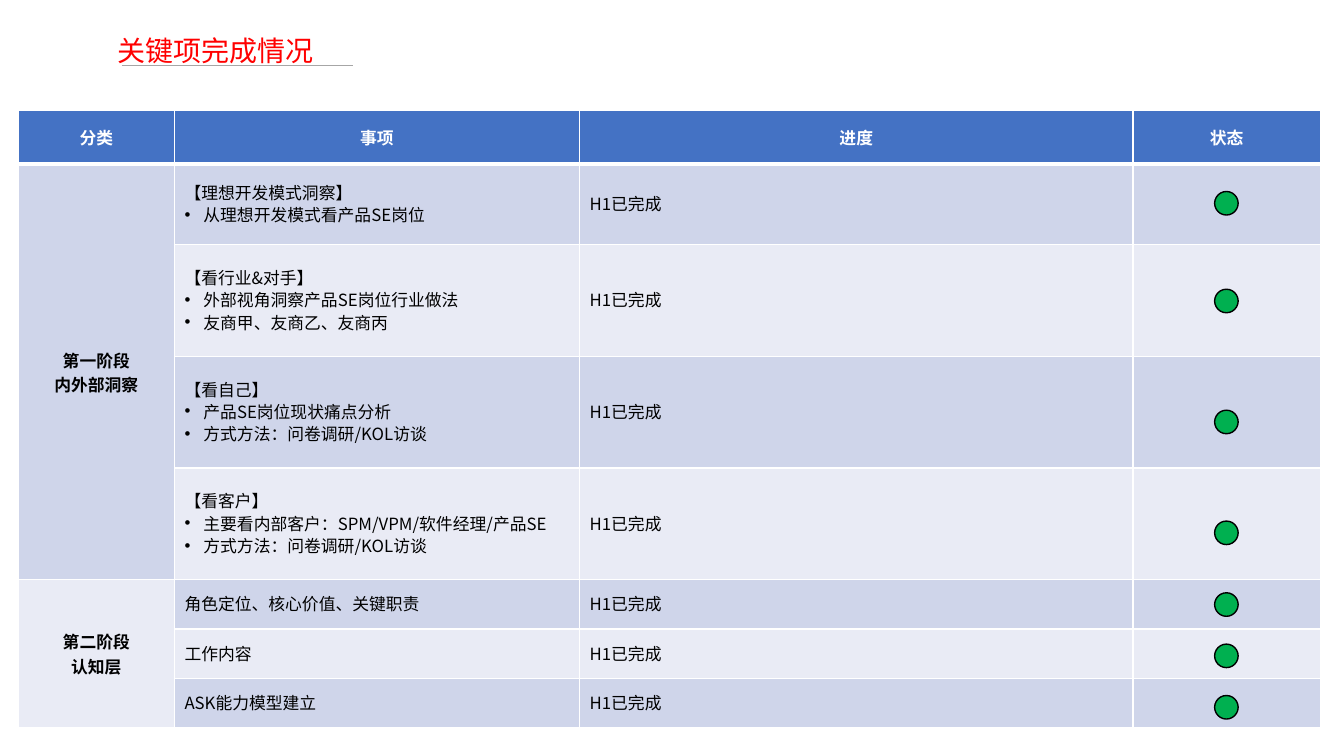
"""Build the slide that reports the completion status of key items."""
from dataclasses import dataclass

from lxml import etree
from pptx import Presentation
from pptx.dml.color import RGBColor
from pptx.enum import shapes, text
from pptx.oxml import ns
from pptx.util import Pt

FONT = "Noto Sans CJK SC"
COLORS = {
    "title": "FF0000", "rule": "A6A6A6", "header": "4472C4", "done": "00B050",
    "band_dark": "CFD5EA", "band_light": "E9EBF5", "white": "FFFFFF", "black": "000000",
}
BANDS = ("band_dark", "band_light")
HEADERS = ("分类", "事项", "进度", "状态")
COL_WIDTHS = (111.6, 289.4, 395.3, 133.9)
HEADER_HEIGHT = 38
TABLE_LEFT, TABLE_TOP = 13, 79.2
DOT_LEFT, DOT_SIZE = 867.6, 16.8


@dataclass
class Item:
    """One table row: its heading, bullets, height and the top of its status dot."""
    heading: str
    height: float
    dot_top: float
    bullets: tuple[str, ...] = ()
    progress: str = "H1已完成"


@dataclass
class Phase:
    """A category that spans several items."""
    lines: tuple[str, ...]
    items: tuple[Item, ...]


PHASES = (
    Phase(("第一阶段", "内外部洞察"), (
        Item("【理想开发模式洞察】", 57.5, 136.8, ("从理想开发模式看产品SE岗位",)),
        Item("【看行业&对手】", 79.8, 206.6,
             ("外部视角洞察产品SE岗位行业做法", "友商甲、友商乙、友商丙")),
        Item("【看自己】", 79.8, 293,
             ("产品SE岗位现状痛点分析", "方式方法：问卷调研/KOL访谈")),
        Item("【看客户】", 79.8, 372.2,
             ("主要看内部客户：SPM/VPM/软件经理/产品SE", "方式方法：问卷调研/KOL访谈")),
    )),
    Phase(("第二阶段", "认知层"), (
        Item("角色定位、核心价值、关键职责", 35.3, 423.4),
        Item("工作内容", 35.3, 460.1),
        Item("ASK能力模型建立", 35.3, 496.8),
    )),
)


def rgb(name: str) -> RGBColor:
    """Return the named colour."""
    return RGBColor.from_string(COLORS[name])


def add_run(p, words: str, size: float, color: str, bold: bool = False) -> None:
    """Add one formatted run to a paragraph."""
    r = p.add_run()
    r.text = words
    r.font.size, r.font.bold = Pt(size), bold
    r.font.color.rgb = rgb(color)
    r.font.name = FONT
    etree.SubElement(r._r.get_or_add_rPr(), ns.qn("a:ea"), typeface=FONT)


def add_bullet(p) -> None:
    """Give a paragraph a hanging round bullet."""
    pPr = p._p.get_or_add_pPr()
    pPr.set("marL", str(Pt(13.5)))
    pPr.set("indent", str(-Pt(13.5)))
    etree.SubElement(pPr, ns.qn("a:buFont"), typeface="Arial")
    etree.SubElement(pPr, ns.qn("a:buChar"), char="•")


def style_cell(cell, fill: str, top: float = 1, bottom: float = 1) -> None:
    """Set the white borders, fill and anchor of a cell."""
    tcPr = cell._tc.get_or_add_tcPr()
    for side, width in (("L", 1), ("R", 1), ("T", top), ("B", bottom)):
        ln = etree.SubElement(tcPr, ns.qn(f"a:ln{side}"), w=str(Pt(width)))
        solid = etree.SubElement(ln, ns.qn("a:solidFill"))
        etree.SubElement(solid, ns.qn("a:srgbClr"), val=COLORS["white"])
    cell.fill.solid()
    cell.fill.fore_color.rgb = rgb(fill)
    cell.vertical_anchor = text.MSO_ANCHOR.MIDDLE


def write_centered(cell, lines: tuple[str, ...], color: str) -> None:
    """Write bold centred lines in a cell."""
    tf = cell.text_frame
    for i, line in enumerate(lines):
        p = tf.add_paragraph() if i else tf.paragraphs[0]
        p.alignment = text.PP_ALIGN.CENTER
        add_run(p, line, 12, color, bold=True)


def write_details(cell, heading: str, bullets: tuple[str, ...] = ()) -> None:
    """Write a heading followed by its bullets in a cell."""
    tf = cell.text_frame
    for i, line in enumerate((heading, *bullets)):
        p = tf.add_paragraph() if i else tf.paragraphs[0]
        if i:
            add_bullet(p)
        p.line_spacing = Pt(16)
        add_run(p, line, 12, "black")


def add_title(s) -> None:
    """Fill the title placeholder and draw the rule under it."""
    rule = s.shapes.add_connector(
        shapes.MSO_CONNECTOR.STRAIGHT, Pt(87.1), Pt(46.8), Pt(252), Pt(46.8))
    rule.line.color.rgb = rgb("rule")
    rule.line.width = Pt(0.5)
    etree.SubElement(rule._element.spPr, ns.qn("a:effectLst"))
    sp = s.shapes.title
    sp.left, sp.top, sp.width, sp.height = Pt(82.1), Pt(12.2), Pt(230.4), Pt(36)
    tf = sp.text_frame
    tf.margin_left = tf.margin_right = tf.margin_top = tf.margin_bottom = Pt(2)
    tf.word_wrap = True
    tf.auto_size = text.MSO_AUTO_SIZE.SHAPE_TO_FIT_TEXT
    tf.vertical_anchor = text.MSO_ANCHOR.MIDDLE
    p = tf.paragraphs[0]
    p.alignment = text.PP_ALIGN.LEFT
    p.line_spacing = 1.5
    add_run(p, "关键项完成情况", 20, "title")


def add_status_table(s) -> None:
    """Draw the table of phases and items."""
    heights = [HEADER_HEIGHT, *(item.height for ph in PHASES for item in ph.items)]
    table = s.shapes.add_table(
        len(heights), len(HEADERS), Pt(TABLE_LEFT), Pt(TABLE_TOP),
        Pt(sum(COL_WIDTHS)), Pt(sum(heights))).table
    for column, width in zip(table.columns, COL_WIDTHS):
        column.width = Pt(width)
    for row, height in zip(table.rows, heights):
        row.height = Pt(height)
    for col, header in enumerate(HEADERS):
        style_cell(table.cell(0, col), "header", bottom=3)
        write_centered(table.cell(0, col), (header,), "white")
    row = 1
    for number, phase in enumerate(PHASES):
        first = table.cell(row, 0)
        first.merge(table.cell(row + len(phase.items) - 1, 0))
        write_centered(first, phase.lines, "black")
        for item in phase.items:
            band = BANDS[(row - 1) % 2]
            for col, fill in enumerate((BANDS[number % 2], band, band, band)):
                style_cell(table.cell(row, col), fill, top=3 if row == 1 else 1)
            write_details(table.cell(row, 1), item.heading, item.bullets)
            write_details(table.cell(row, 2), item.progress)
            row += 1


def add_dot(s, top: float) -> None:
    """Draw one green status dot."""
    sp = s.shapes.add_shape(
        shapes.MSO_SHAPE.OVAL, Pt(DOT_LEFT), Pt(top), Pt(DOT_SIZE), Pt(DOT_SIZE))
    sp.shadow.inherit = False
    sp.fill.solid()
    sp.fill.fore_color.rgb = rgb("done")
    sp.line.color.rgb = rgb("black")
    sp.line.width = Pt(1)


def main() -> None:
    """Build and save the presentation."""
    prs = Presentation()
    prs.slide_width, prs.slide_height = Pt(960), Pt(540)
    s = prs.slides.add_slide(prs.slide_layouts.get_by_name("Title Only"))
    add_title(s)
    add_status_table(s)
    for phase in PHASES:
        for item in phase.items:
            add_dot(s, item.dot_top)
    prs.save("out.pptx")


if __name__ == "__main__":
    main()
